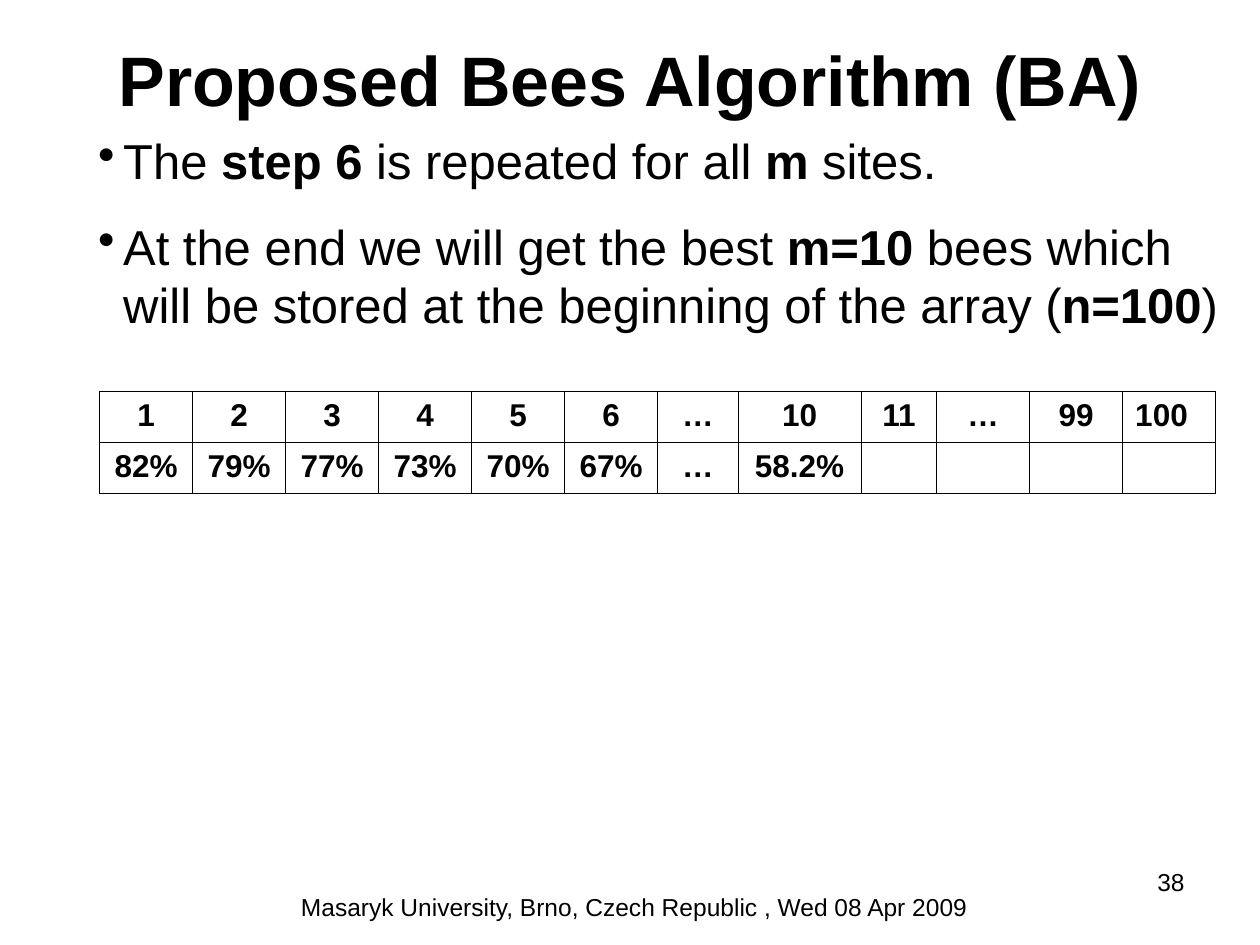
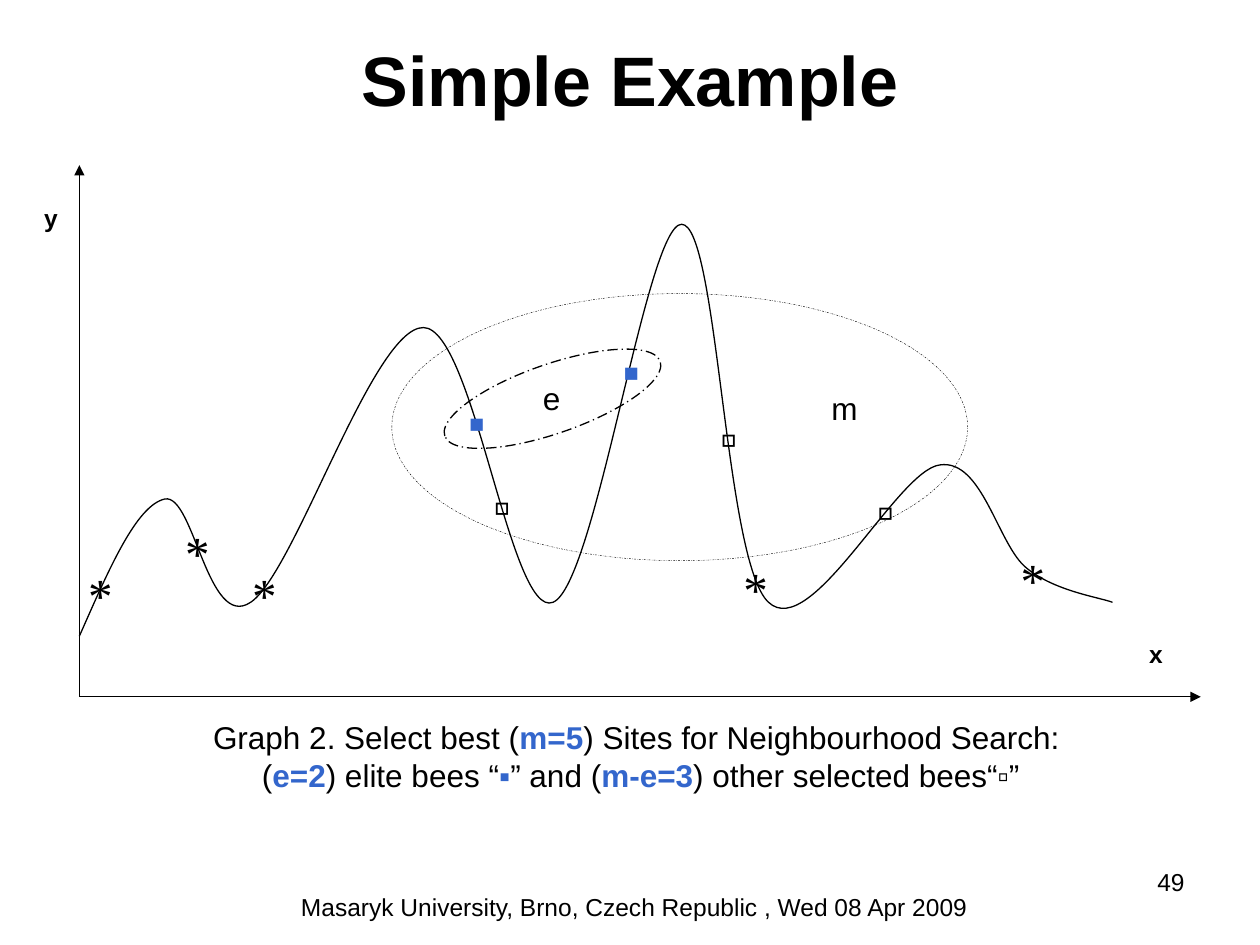
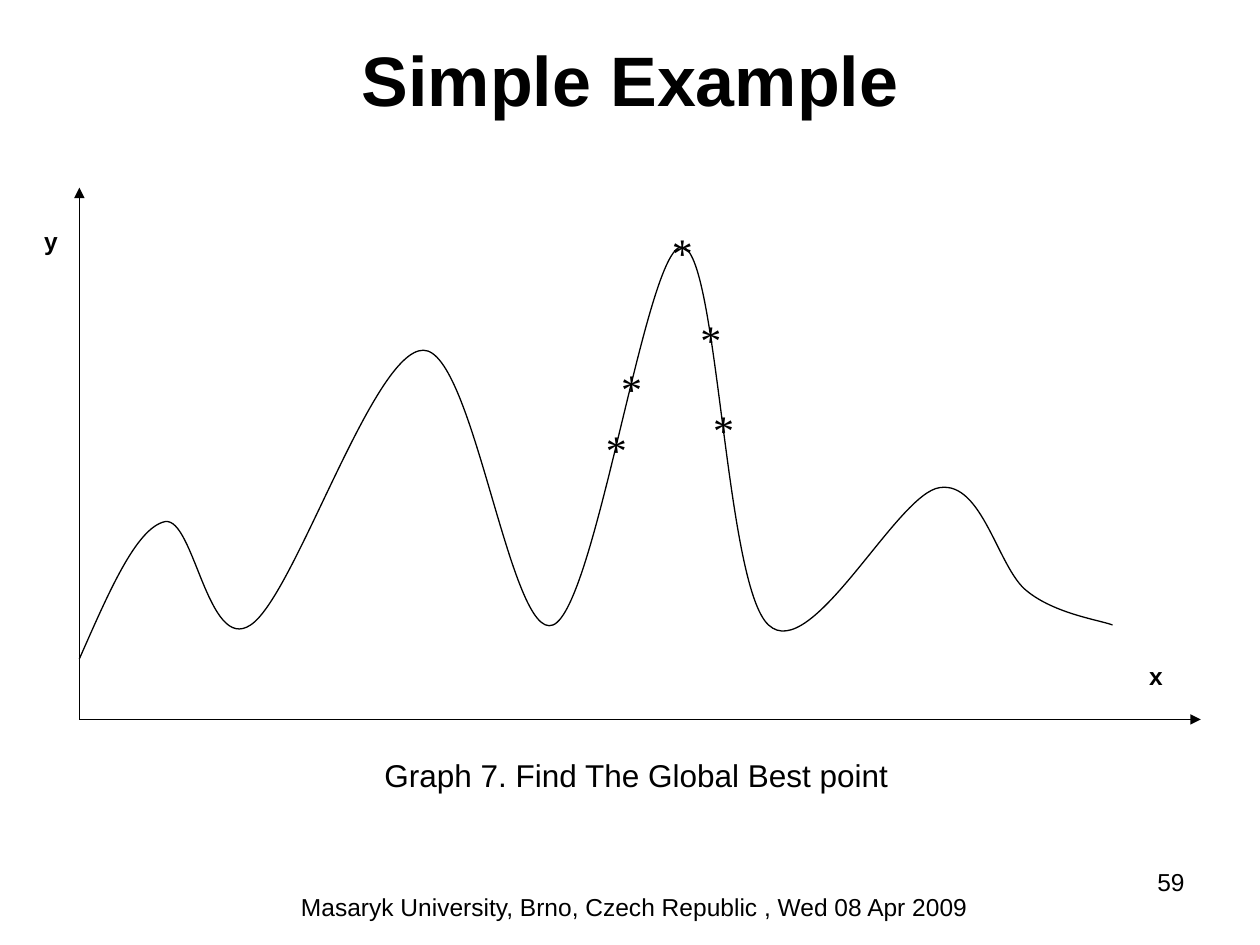
from itertools import chain
from lxml import etree
from pptx import Presentation
from pptx.dml.color import RGBColor
from pptx.enum.dml import MSO_LINE
from pptx.enum.shapes import MSO_CONNECTOR, MSO_SHAPE
from pptx.enum.text import MSO_ANCHOR, PP_ALIGN
from pptx.oxml.ns import qn
from pptx.util import Inches, Pt

COLORS = {"ink": "000000", "accent": "3366CC"}
SANS, SERIF = "Arial", "Times New Roman"
FOOTER = "Masaryk University, Brno, Czech Republic , Wed 08 Apr 2009"

# Insets are left, top, right, bottom
INSETS = (0.1, 0.05, 0.1, 0.05)
STAR_INSETS = (0.12, 0.05, 0.1, 0.05)
NO_INSETS = (0, 0, 0, 0)

# Landscape curve, relative to the top of the y axis: start, then Bezier segments
CURVE_START = (0.63, 3.74)
CURVE = [
    ((0.86, 3.22), (1.08, 2.7), (1.31, 2.65)),
    ((1.54, 2.61), (1.65, 3.7), (1.99, 3.47)),
    ((2.34, 3.24), (2.96, 1.29), (3.36, 1.29)),
    ((3.76, 1.29), (4.05, 3.61), (4.39, 3.47)),
    ((4.73, 3.33), (5.13, 0.47), (5.41, 0.47)),
    ((5.7, 0.47), (5.75, 3.15), (6.1, 3.47)),
    ((6.44, 3.79), (7.12, 2.42), (7.46, 2.38)),
    ((7.8, 2.33), (7.92, 3.02), (8.15, 3.2)),
    ((8.37, 3.38), (8.72, 3.43), (8.83, 3.47)),
]


def rgb(name):
    return RGBColor.from_string(COLORS[name])


def format_run(r, size, font=SANS, color="ink", bold=False):
    r.font.size = Pt(size)
    r.font.name = font
    r.font.bold = bold
    r.font.color.rgb = rgb(color)


def fill_paragraph(p, parts, size, font=SANS, align=PP_ALIGN.LEFT):
    """Write parts, each a string or a (text, format) pair, into a paragraph."""
    p.alignment = align
    for part in parts:
        text, style = (part, {}) if isinstance(part, str) else part
        r = p.add_run()
        r.text = text
        format_run(r, size, font, **style)


def set_insets(tf, insets):
    tf.margin_left, tf.margin_top, tf.margin_right, tf.margin_bottom = map(Inches, insets)


def add_text(slide, box, lines, size, font=SANS, align=PP_ALIGN.LEFT,
             anchor=MSO_ANCHOR.TOP, insets=INSETS, wrap=True):
    sp = slide.shapes.add_textbox(*map(Inches, box))
    tf = sp.text_frame
    tf.word_wrap = wrap
    tf.vertical_anchor = anchor
    set_insets(tf, insets)
    for i, parts in enumerate(lines):
        p = tf.add_paragraph() if i else tf.paragraphs[0]
        fill_paragraph(p, parts, size, font, align)
    return sp


def add_base_slide(prs, title, number):
    """Add a slide with the shared title, footer and slide number."""
    slide = prs.slides.add_slide(prs.slide_layouts[6])
    add_text(slide, (2.16, 7.03, 5.75, 0.52), [[FOOTER]], 14, align=PP_ALIGN.CENTER)
    add_text(slide, (7.17, 6.83, 2.33, 0.52), [[str(number)]], 14, align=PP_ALIGN.RIGHT)
    add_text(slide, (0, 0, 10, 1.25), [[(title, {"bold": True})]], 40,
             align=PP_ALIGN.CENTER, anchor=MSO_ANCHOR.MIDDLE)
    return slide


def add_bullets(slide, box, lines, size):
    sp = add_text(slide, box, lines, size)
    for i, p in enumerate(sp.text_frame.paragraphs):
        p.space_before = Pt(12 if i else 0)
        p.space_after = Pt(3)
        pPr = p._p.get_or_add_pPr()
        pPr.set("marL", str(Inches(0.88)))
        pPr.set("indent", str(Inches(-0.2)))
        etree.SubElement(pPr, qn("a:buChar")).set("char", "•")


def set_borders(cell, width):
    tcPr = cell._tc.get_or_add_tcPr()
    for i, side in enumerate(("lnL", "lnR", "lnT", "lnB")):
        ln = etree.Element(qn(f"a:{side}"), w=str(Pt(width)))
        fill = etree.SubElement(ln, qn("a:solidFill"))
        etree.SubElement(fill, qn("a:srgbClr"), val=COLORS["ink"])
        tcPr.insert(i, ln)


def add_grid(slide, box, shares, rows):
    """Add a bordered table whose column widths divide the box by shares."""
    left, top, width, height = map(Inches, box)
    table = slide.shapes.add_table(
        len(rows), len(shares), left, top, width, height).table
    table.first_row = table.horz_banding = False
    for column, share in zip(table.columns, shares):
        column.width = int(width * share / sum(shares))
    for i, row in enumerate(rows):
        for j, text in enumerate(row):
            cell = table.cell(i, j)
            cell.fill.background()
            set_borders(cell, 0.45)
            align = PP_ALIGN.LEFT if text == "100" else PP_ALIGN.CENTER
            if text:
                fill_paragraph(cell.text_frame.paragraphs[0],
                               [(text, {"bold": True})], 18, align=align)


def add_arrow(slide, start, end):
    line = slide.shapes.add_connector(
        MSO_CONNECTOR.STRAIGHT, *map(Inches, start + end))
    line.line.width = Pt(0.75)
    line.line.color.rgb = rgb("ink")
    etree.SubElement(line.line._get_or_add_ln(), qn("a:tailEnd"), type="triangle")
    etree.SubElement(line._element.spPr, qn("a:effectLst"))


def outline(sp, width, dash=None):
    sp.shadow.inherit = False
    sp.fill.background()
    sp.line.width = Pt(width)
    sp.line.color.rgb = rgb("ink")
    if dash:
        sp.line.dash_style = dash


def add_curve(slide, top):
    """Draw the landscape, turning each three line points into one Bezier."""
    x0, y0 = CURVE_START
    builder = slide.shapes.build_freeform(Inches(x0), Inches(top + y0))
    builder.add_line_segments(
        [(Inches(x), Inches(top + y)) for x, y in chain.from_iterable(CURVE)],
        close=False)
    sp = builder.convert_to_shape()
    outline(sp, 0.75)
    lines = list(sp._element.iter(qn("a:lnTo")))
    outline_path = lines[0].getparent()
    for i in range(0, len(lines), 3):
        bezier = etree.SubElement(outline_path, qn("a:cubicBezTo"))
        for line in lines[i:i + 3]:
            bezier.append(line[0])
            outline_path.remove(line)


def add_graph(slide, top):
    """Draw axes, axis names and curve; top is the tip of the y axis."""
    origin = (0.63, top + 4.22)
    add_arrow(slide, origin, (0.63, top))
    add_arrow(slide, origin, (9.53, top + 4.22))
    add_curve(slide, top)
    for name, left, dy in (("x", 9.12, 3.76), ("y", 0.35, 0.3)):
        add_text(slide, (left, top + dy, 0.47, 0.47), [[(name, {"bold": True})]],
                 14, insets=NO_INSETS)


def add_site(slide, corner, glyph, color, inset_left, inset_right):
    """Add a selected site: a square glyph in an invisible circle."""
    sp = slide.shapes.add_shape(
        MSO_SHAPE.OVAL, *map(Inches, corner), Inches(0.37), Inches(0.37))
    sp.shadow.inherit = False
    sp.fill.background()
    sp.line.fill.background()
    tf = sp.text_frame
    tf.vertical_anchor = MSO_ANCHOR.TOP
    set_insets(tf, (inset_left, 0, inset_right, 0))
    fill_paragraph(tf.paragraphs[0], [(glyph, {"color": color})], 28, SERIF,
                   PP_ALIGN.CENTER)


def add_star(slide, box, size, align=PP_ALIGN.CENTER, insets=NO_INSETS):
    add_text(slide, box, [["*"]], size, SERIF, align, insets=insets)


def add_ellipse(slide, box, width, dash, rotation=0):
    sp = slide.shapes.add_shape(MSO_SHAPE.OVAL, *map(Inches, box))
    outline(sp, width, dash)
    sp.rotation = rotation


def add_caption(slide, box, lines):
    add_text(slide, box, lines, 18, align=PP_ALIGN.CENTER,
             anchor=MSO_ANCHOR.MIDDLE, wrap=False)


def build_algorithm_slide(prs):
    slide = add_base_slide(prs, "Proposed Bees Algorithm (BA)", 38)
    bold = {"bold": True}
    add_bullets(slide, (0, 0.99, 10, 5.51), [
        ["The ", ("step 6", bold), " is repeated for all ", ("m", bold), " sites."],
        ["At the end we will get the best ", ("m=10", bold),
         " bees which will be stored at the beginning of the array (",
         ("n=100", bold), ")"],
    ], 28)
    shares = [0.74] * 6 + [0.64, 0.98, 0.6] + [0.74] * 3
    add_grid(slide, (0.79, 3.11, 8.86, 0.81), shares, [
        ["1", "2", "3", "4", "5", "6", "…", "10", "11", "…", "99", "100"],
        ["82%", "79%", "77%", "73%", "70%", "67%", "…", "58.2%"] + [""] * 4,
    ])


def build_selection_slide(prs):
    slide = add_base_slide(prs, "Simple Example", 49)
    key = {"color": "accent", "bold": True}
    add_caption(slide, (1.59, 5.65, 6.92, 0.7), [
        ["Graph 2. Select best (", ("m=5", key), ") Sites for Neighbourhood Search:"],
        [" (", ("e=2", key), ") elite bees “", ("▪", {"color": "accent"}),
         "” and (", ("m-e=3", key), ") other selected bees“▫”"],
    ])
    add_graph(slide, 1.31)
    add_site(slide, (3.56, 3.05), "▪", "accent", 0.08, 0)
    add_site(slide, (3.77, 3.72), "▫", "ink", 0.06, 0)
    add_site(slide, (4.79, 2.65), "▪", "accent", 0.1, 0.12)
    add_site(slide, (5.64, 3.18), "▫", "ink", 0, 0.08)
    add_text(slide, (6.96, 3.81, 0.16, 0.47), [["▫"]], 28, SERIF, insets=NO_INSETS)
    for left, top in ((0.58, 4.43), (7.98, 4.31), (5.78, 4.38), (1.88, 4.43), (1.35, 4.1)):
        add_star(slide, (left, top, 0.25, 0.25), 28, PP_ALIGN.LEFT, STAR_INSETS)
    add_ellipse(slide, (3.11, 2.33, 4.57, 2.12), 0.25, MSO_LINE.DASH_DOT)
    add_text(slide, (6.5, 3.04, 0.71, 0.4), [["m"]], 18)
    add_ellipse(slide, (3.48, 2.89, 1.81, 0.55), 0.75, MSO_LINE.LONG_DASH_DOT, 340.9)
    add_text(slide, (4.21, 2.96, 0.39, 0.4), [["e"]], 18)


def build_result_slide(prs):
    slide = add_base_slide(prs, "Simple Example", 59)
    add_graph(slide, 1.49)
    add_star(slide, (5.29, 1.8, 0.25, 0.4), 24)
    add_caption(slide, (2.95, 5.95, 4.2, 0.4), [["Graph 7. Find The Global Best point"]])
    for left, top in ((4.81, 3.36), (4.93, 2.88), (5.56, 2.49), (5.66, 3.2)):
        add_star(slide, (left, top, 0.16, 0.16), 24)


def main():
    prs = Presentation()
    prs.slide_width, prs.slide_height = Inches(10), Inches(7.5)
    build_algorithm_slide(prs)
    build_selection_slide(prs)
    build_result_slide(prs)
    prs.save("out.pptx")


if __name__ == "__main__":
    main()
